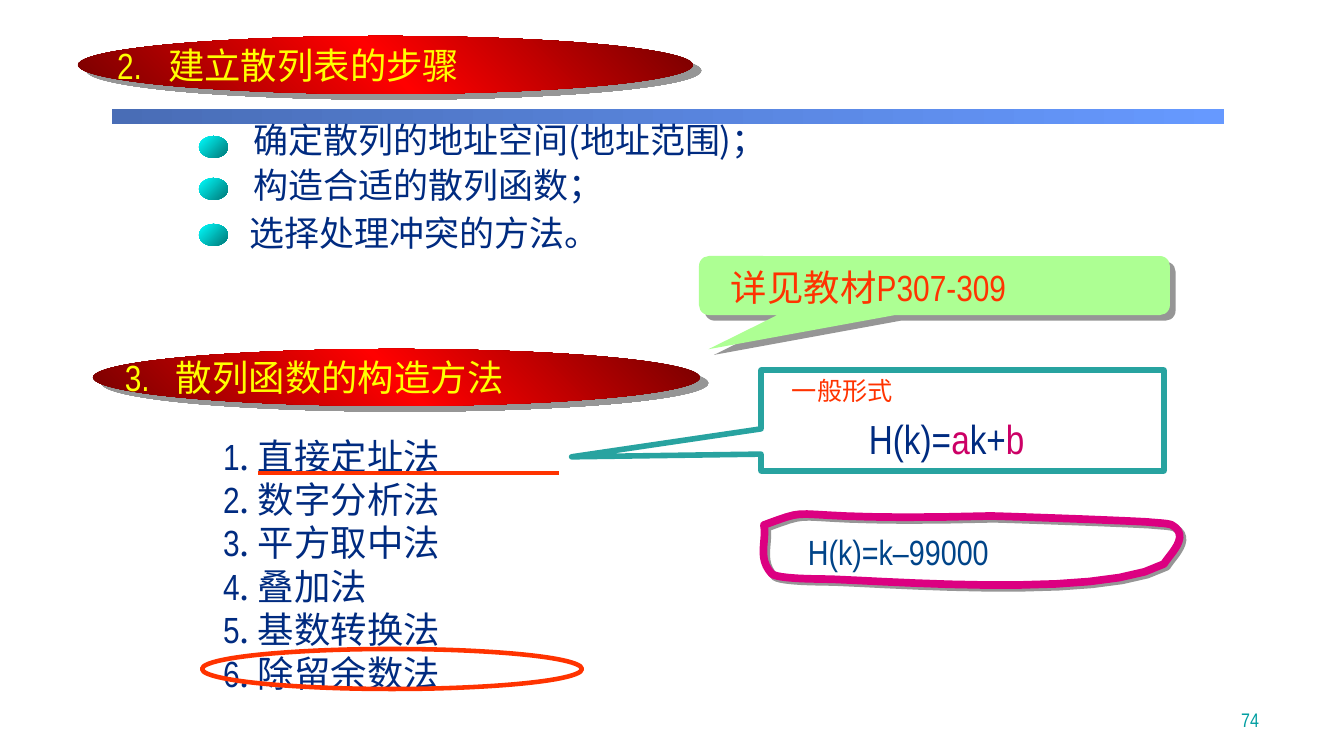
from pptx import Presentation
from pptx.dml.color import RGBColor
from pptx.enum.shapes import MSO_CONNECTOR, MSO_SHAPE
from pptx.enum.text import MSO_ANCHOR, MSO_AUTO_SIZE, PP_ALIGN
from pptx.oxml import parse_xml
from pptx.oxml.ns import nsdecls, qn
from pptx.util import Pt
from lxml.etree import SubElement

PX = 914400 / 100.8
NARROW, SANS = "Arial Narrow", "Noto Sans CJK SC"
COLORS = {
    "navy": "002B80", "yellow": "FFFF00", "orange": "FF3300", "pink": "CC0066",
    "magenta": "DC0081", "teal": "28A3A0", "blue": "004488", "green": "ADFF93",
    "number": "009EA1", "grey": "969696", "white": "FFFFFF", "bar_dark": "496DB6",
    "bar_light": "6699FF", "maroon": "760000", "red": "FF0000",
    "cyan": "00FFFF", "deep_teal": "007676",
}

# Text, oval box, text box
HEADINGS = [
    ("2.\t建立散列表的步骤", (78, 36, 615, 58), (107, 38, 639, 53)),
    ("3.\t散列函数的构造方法", (93, 349, 607, 57), (115, 350, 621, 53)),
]
# Text, text left, text top, dot top
STEPS = [
    ("确定散列的地址空间(地址范围)；", 244, 114, 136),
    ("构造合适的散列函数；", 244, 159, 178),
    ("选择处理冲突的方法。", 240, 207, 224),
]
METHODS = ["直接定址法", "数字分析法", "平方取中法", "叠加法", "基数转换法", "除留余数法"]
# Box, runs of (text, font, color), size
NOTES = [
    ((859, 409, 351, 58), [("H(k)=", NARROW, "navy"), ("a", NARROW, "pink"),
                           ("k+", NARROW, "navy"), ("b", NARROW, "pink")], 29),
    ((782, 370, 237, 40), [("一般形式", NARROW, "orange")], 18),
    ((721, 260, 459, 53), [("详见教材", SANS, "orange"), ("P307-309", NARROW, "orange")], 26),
    ((798, 526, 349, 52), [("H(k)=k–99000", NARROW, "blue")], 25),
]
LOOP_START = (764, 525)
LOOP_CURVES = [
    ((767, 541), (757, 558), (772, 574)),
    ((778, 579), (820, 579), (820, 579)),
    ((865, 579), (1100, 600), (1164, 564)),
    ((1170, 554), (1191, 536), (1172, 525)),
    ((1167, 523), (1156, 523), (1148, 522)),
    ((1112, 520), (1025, 517), (991, 516)),
    ((768, 522), (824, 503), LOOP_START),
]


def emu(box):
    return [round(value * PX) for value in box]


def rgb(name):
    return RGBColor.from_string(COLORS[name])


def place(shape, box):
    for side, value in zip(("left", "top", "width", "height"), emu(box)):
        setattr(shape, side, value)


def add_gradient(shape, colors, angle):
    shape.fill.solid()
    stops = "".join(
        f'<a:gs pos="{round(100000 * i / (len(colors) - 1))}"><a:srgbClr val="{COLORS[color]}"/></a:gs>'
        for i, color in enumerate(colors))
    gradient = parse_xml(f'<a:gradFill {nsdecls("a")} rotWithShape="1"><a:gsLst>{stops}</a:gsLst>'
                         f'<a:lin ang="{angle * 60000}" scaled="0"/></a:gradFill>')
    solid = shape.element.spPr.find(qn("a:solidFill"))
    solid.getparent().replace(solid, gradient)


def style(shape, fill=None, line=None, shadow=None):
    """fill: color name or (colors, angle); line: (color, points); shadow: (color, points, angle)."""
    shape.shadow.inherit = False
    if fill is None:
        shape.fill.background()
    elif isinstance(fill, str):
        shape.fill.solid()
        shape.fill.fore_color.rgb = rgb(fill)
    else:
        add_gradient(shape, *fill)
    if line:
        shape.line.color.rgb, shape.line.width = rgb(line[0]), Pt(line[1])
    else:
        shape.line.fill.background()
    if shadow:
        color, distance, angle = shadow
        effects = shape.element.spPr.find(qn("a:effectLst"))
        outer = SubElement(effects, qn("a:outerShdw"), blurRad="0", dist=str(Pt(distance)),
                           dir=str(angle * 60000), algn="ctr", rotWithShape="0")
        SubElement(outer, qn("a:srgbClr"), val=COLORS[color])


def add_shape(slide, kind, box, adjustments=(), **look):
    shape = slide.shapes.add_shape(kind, *emu(box))
    for i, value in enumerate(adjustments):
        shape.adjustments[i] = value
    style(shape, **look)
    return shape


def write(paragraph, runs, size, align=PP_ALIGN.LEFT, hanging=0, line_spacing=1.0):
    formats = {"alignment": align, "space_before": Pt(0), "line_spacing": line_spacing}
    for name, value in formats.items():
        setattr(paragraph, name, value)
    properties = paragraph._p.get_or_add_pPr()
    properties.set("marL", str(round(hanging * PX)))
    properties.set("indent", str(-round(hanging * PX)))
    SubElement(properties, qn("a:buNone"))
    for text, font, color in runs:
        run = paragraph.add_run()
        run.text = text
        for name, value in {"size": Pt(size), "name": font, "bold": False}.items():
            setattr(run.font, name, value)
        run.font.color.rgb = rgb(color)
        SubElement(run._r.get_or_add_rPr(), qn("a:ea"), typeface=font)


def prepare(shape, box, anchor=MSO_ANCHOR.MIDDLE):
    place(shape, box)
    frame = shape.text_frame
    formats = {"word_wrap": True, "auto_size": MSO_AUTO_SIZE.NONE, "vertical_anchor": anchor}
    for name, value in formats.items():
        setattr(frame, name, value)
    return frame


def add_text(slide, box, runs, size, anchor=MSO_ANCHOR.MIDDLE, **layout):
    shape = slide.shapes.add_textbox(*emu(box))
    write(prepare(shape, box, anchor).paragraphs[0], runs, size, **layout)


def add_headings(slide):
    title = slide.shapes.title
    for i, (text, oval, box) in enumerate(HEADINGS):
        add_shape(slide, MSO_SHAPE.OVAL, oval, fill=(("maroon", "red", "maroon"), 315),
                  shadow=("grey", 7.2, 34))
        runs = [(text, NARROW, "yellow")]
        if i == 0:
            title.element.getparent().append(title.element)
            write(prepare(title, box).paragraphs[0], runs, 26, hanging=51)
        else:
            add_text(slide, box, runs, 26, hanging=51)


def add_steps(slide):
    for text, left, top, dot_top in STEPS:
        add_text(slide, (left, top, 780, 52), [(text, SANS, "navy")], 25)
        add_shape(slide, MSO_SHAPE.OVAL, (199, dot_top, 29, 22),
                  fill=(("cyan", "deep_teal"), 45), shadow=("white", 2.8, 45))


def add_methods(slide):
    frame = prepare(slide.placeholders[1], (213, 434, 414, 260), MSO_ANCHOR.TOP)
    frame.margin_top = frame.margin_bottom = 0
    for i, method in enumerate(METHODS):
        paragraph = frame.add_paragraph() if i else frame.paragraphs[0]
        write(paragraph, [(str(i + 1), NARROW, "navy"), (f". {method}", SANS, "navy")], 26,
              line_spacing=Pt(31))
    add_shape(slide, MSO_SHAPE.OVAL, (202, 649, 380, 40), line=("orange", 3.25))
    underline = slide.shapes.add_connector(MSO_CONNECTOR.STRAIGHT, *emu((258, 473, 559, 473)))
    underline.line.color.rgb, underline.line.width = rgb("orange"), Pt(3.25)
    SubElement(underline.element.spPr, qn("a:effectLst"))


def curve_points(start, curves, steps=12):
    for first, second, end in curves:
        for step in range(1, steps + 1):
            t = step / steps
            weights = ((1 - t) ** 3, 3 * t * (1 - t) ** 2, 3 * t * t * (1 - t), t ** 3)
            corners = (start, first, second, end)
            yield tuple(sum(w * corner[axis] for w, corner in zip(weights, corners))
                        for axis in (0, 1))
        start = end


def add_loop(slide):
    builder = slide.shapes.build_freeform(*emu(LOOP_START), scale=1.0)
    builder.add_line_segments([emu(point) for point in curve_points(LOOP_START, LOOP_CURVES)],
                              close=True)
    style(builder.convert_to_shape(), line=("magenta", 5.5), shadow=("grey", 2.8, 45))


def main():
    presentation = Presentation()
    presentation.slide_width, presentation.slide_height = emu((1344, 756))
    slide = presentation.slides.add_slide(presentation.slide_layouts[1])
    add_shape(slide, MSO_SHAPE.RECTANGLE, (112, 109, 1112, 15), fill=(("bar_dark", "bar_light"), 0))
    add_methods(slide)
    add_headings(slide)
    add_steps(slide)
    add_shape(slide, MSO_SHAPE.RECTANGULAR_CALLOUT, (761, 370, 403, 101), (-0.97, 0.36),
              line=("teal", 4))
    add_shape(slide, MSO_SHAPE.ROUNDED_RECTANGULAR_CALLOUT, (699, 256, 471, 59),
              (-0.48, 1.08, 0.17), fill="green", shadow=("grey", 5.7, 45))
    for box, runs, size in NOTES:
        add_text(slide, box, runs, size)
    add_loop(slide)
    add_text(slide, (989, 686, 280, 50), [("74", NARROW, "number")], 14,
             MSO_ANCHOR.BOTTOM, align=PP_ALIGN.RIGHT)
    presentation.save("out.pptx")


if __name__ == "__main__":
    main()
